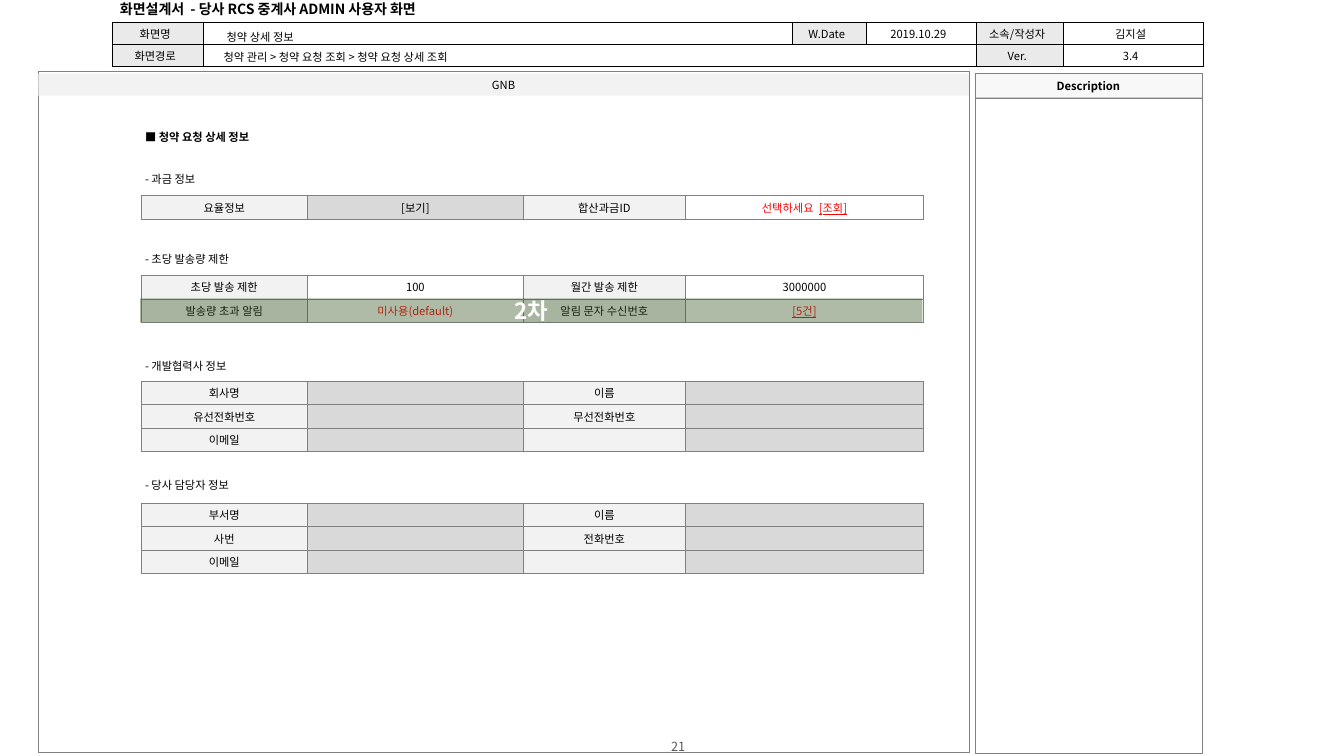
from dataclasses import dataclass

from lxml.etree import SubElement
from pptx import Presentation
from pptx.dml.color import RGBColor
from pptx.enum.shapes import MSO_SHAPE
from pptx.enum.text import MSO_ANCHOR, MSO_AUTO_SIZE, PP_ALIGN
from pptx.oxml.ns import qn
from pptx.util import Inches, Pt

RECT = MSO_SHAPE.RECTANGLE
TOP, MIDDLE = MSO_ANCHOR.TOP, MSO_ANCHOR.MIDDLE
LEFT, CENTER = PP_ALIGN.LEFT, PP_ALIGN.CENTER
FIXED = MSO_AUTO_SIZE.NONE


@dataclass
class Theme:
    face: str = "Noto Sans CJK KR"
    small: int = 8
    page: int = 9
    head: int = 10
    stamp: int = 16
    black: str = "000000"
    white: str = "FFFFFF"
    red: str = "FF0000"
    gray: str = "808080"
    dim: str = "595959"
    label: str = "F2F2F2"
    value: str = "D9D9D9"
    top: str = "EAEAEA"
    note: str = "F8F8F8"
    green: str = "385723"


look = Theme()


def write(frame, text, size=look.small, color=look.black, bold=False, align=CENTER):
    para = frame.paragraphs[0]
    para.alignment = align
    for i, part in enumerate(text.split("|")):
        if part:
            run = para.add_run()
            run.text = part
            if i:
                run.font.underline = True
    font = para.font
    font.size, font.bold, font.name = Pt(size), bold, look.face
    font.color.rgb = RGBColor.from_string(color)
    base = para._p.pPr.find(qn("a:defRPr"))
    SubElement(base, qn("a:ea"), typeface=look.face)
    if not text:
        SubElement(para._p, qn("a:endParaRPr"), sz=str(size * 100))


def grid(left, top, height, widths, rows, edge):
    area = [Inches(n) for n in (left, top, sum(widths), height)]
    table = slide.shapes.add_table(len(rows), len(widths), *area).table
    table.first_row = table.horz_banding = False
    for col, width in zip(table.columns, widths):
        col.width = Inches(width)
    for r, row in enumerate(rows):
        table.rows[r].height = Inches(height / len(rows))
        for c, (text, fill, color) in enumerate(row):
            cell = table.cell(r, c)
            cell.vertical_anchor = MIDDLE
            cell.margin_top = cell.margin_bottom = 0
            props = cell._tc.get_or_add_tcPr()
            for side in ("lnL", "lnR", "lnT", "lnB"):
                line = SubElement(props, qn("a:" + side), w=str(Pt(0.25)))
                SubElement(SubElement(line, qn("a:solidFill")), qn("a:srgbClr"), val=edge)
            cell.fill.solid()
            cell.fill.fore_color.rgb = RGBColor.from_string(fill)
            write(cell.text_frame, text, color=color)
    return table


deck = Presentation()
deck.slide_width, deck.slide_height = Inches(13.33), Inches(7.5)
slide = deck.slides.add_slide(deck.slide_layouts[5])

title = slide.shapes.title
title.left, title.top, title.width, title.height = [Inches(n) for n in (1.1, -0.04, 3.47, 0.26)]
frame = title.text_frame
frame.auto_size, frame.word_wrap, frame.vertical_anchor = FIXED, False, MIDDLE
frame.margin_left = frame.margin_right = Inches(0.09)
frame.margin_top = frame.margin_bottom = Inches(0.04)
write(frame, "화면설계서  - 당사 RCS 중계사 ADMIN 사용자 화면", look.head, bold=True, align=LEFT)

head = [
    ["화면명", "", "W.Date", "2019.10.29", "소속/작성자", "김지설"],
    ["화면경로", "", "", "", "Ver.", "3.4"],
]
rows = [
    [(text, look.white if c % 2 else look.top, look.black) for c, text in enumerate(row)]
    for row in head
]
info = grid(1.11, 0.22, 0.44, [0.91, 5.84, 0.73, 1.09, 0.87, 1.38], rows, look.black)
info.cell(1, 1).merge(info.cell(1, 3))
for cell in info.iter_cells():
    cell.margin_left, cell.margin_right = Inches(0.04), Inches(0.09)

shown = look.white
forms = [
    (1.94, 0.23, [["요율정보", ("[보기]", look.value, look.black),
                   "합산과금ID", ("선택하세요  |[조회]", shown, look.red)]]),
    (2.73, 0.47, [["초당 발송 제한", ("100", shown, look.black),
                   "월간 발송 제한", ("3000000", shown, look.black)],
                  ["발송량 초과 알림", ("미사용(default)", shown, look.red),
                   "알림 문자 수신번호", ("|[5건]", shown, look.red)]]),
]
blank = ("", look.value, look.black)
groups = [
    (3.78, [("회사명", "이름"), ("유선전화번호", "무선전화번호"), ("이메일", "")]),
    (4.99, [("부서명", "이름"), ("사번", "전화번호"), ("이메일", "")]),
]
for top, pairs in groups:
    forms.append((top, 0.7, [[one, blank, two, blank] for one, two in pairs]))
for top, height, form in forms:
    rows = [
        [(item, look.label, look.black) if c % 2 == 0 else item for c, item in enumerate(row)]
        for row in form
    ]
    grid(1.4, top, height, [1.65, 2.14, 1.61, 2.36], rows, look.gray)

panels = [
    (0.38, 0.71, 9.23, 6.75, None, look.gray, "", look.small, look.black, False),
    (9.67, 0.96, 2.25, 6.51, None, look.gray, "", look.small, look.black, False),
    (9.67, 0.73, 2.25, 0.24, look.note, look.gray, "Description", look.small, look.black, True),
    (0.38, 0.73, 9.23, 0.22, look.label, None, "GNB", look.small, look.black, False),
    (1.39, 2.96, 7.76, 0.24, look.green, None, "2차", look.stamp, look.white, True),
]
for *area, fill, edge, text, size, color, bold in panels:
    panel = slide.shapes.add_shape(RECT, *[Inches(n) for n in area])
    panel.shadow.inherit = False
    if fill:
        panel.fill.solid()
        panel.fill.fore_color.rgb = RGBColor.from_string(fill)
    else:
        panel.fill.background()
    if edge:
        panel.line.color.rgb = RGBColor.from_string(edge)
        panel.line.width = Pt(0.25)
    else:
        panel.line.fill.background()
    if text:
        frame = panel.text_frame
        frame.vertical_anchor = MIDDLE
        frame.margin_top = frame.margin_bottom = 0
        write(frame, text, size, color, bold)
tint = panel._element.spPr.find(qn("a:solidFill")).find(qn("a:srgbClr"))
SubElement(tint, qn("a:alpha"), val="40000")

notes = [
    (1.34, 1.24, 2.18, "■ 청약 요청 상세 정보", True),
    (2.15, 0.25, 2.08, "청약 상세 정보", False),
    (2.12, 0.45, 4.8, "청약 관리 > 청약 요청 조회 > 청약 요청 상세 조회", False),
    (1.34, 1.66, 1.42, "- 과금 정보", False),
    (1.34, 2.45, 1.42, "- 초당 발송량 제한", False),
    (1.34, 3.52, 1.42, "- 개발협력사 정보", False),
    (1.34, 4.7, 1.42, "- 당사 담당자 정보", False),
]
for left, top, width, text, bold in notes:
    box = slide.shapes.add_textbox(Inches(left), Inches(top), Inches(width), Inches(0.24))
    box.text_frame.word_wrap = True
    box.text_frame.vertical_anchor = TOP
    write(box.text_frame, text, bold=bold, align=LEFT)

page = slide.shapes.add_textbox(Inches(5.17), Inches(7.34), Inches(3.11), Inches(0.13))
frame = page.text_frame
frame.word_wrap, frame.vertical_anchor = True, MIDDLE
frame.margin_top = frame.margin_bottom = 0
write(frame, "21", look.page, look.dim)

deck.save("out.pptx")
